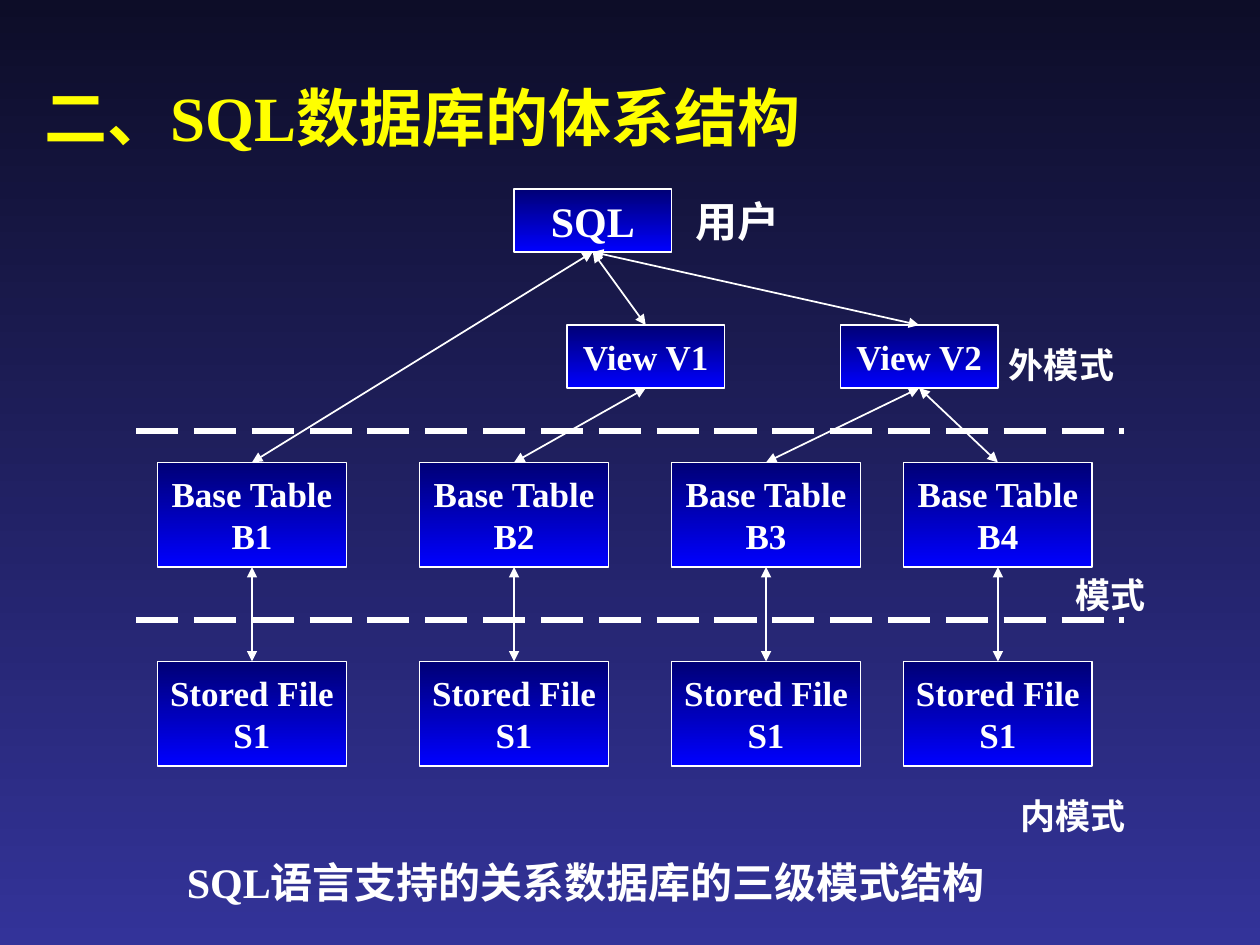
from dataclasses import dataclass

import pptx
import pptx.dml.color
import pptx.enum.dml
import pptx.enum.shapes
import pptx.enum.text
import pptx.oxml
import pptx.oxml.ns
import pptx.util
from pptx.util import Inches

FONT_NAME = "Times New Roman"
WHITE = "FFFFFF"
BOTTOM, TOP = 2, 0
COLUMN_LEFTS = (1.25, 3.33, 5.33, 7.17)


@dataclass
class Box:
    text: str
    left: float
    top: float
    width: float
    height: float
    size: int = 20


def color(value: str) -> pptx.dml.color.RGBColor:
    return pptx.dml.color.RGBColor.from_string(value)


def fill_downward(fill, start: str, end: str) -> None:
    fill.gradient()
    fill.gradient_angle = 270
    for stop, value, position in zip(fill.gradient_stops, (start, end), (0, 1)):
        stop.color.rgb = color(value)
        stop.position = position


def write_text(shape, text: str, size: int, text_color: str = WHITE,
               alignment=pptx.enum.text.PP_ALIGN.CENTER) -> None:
    frame = shape.text_frame
    frame.text = text
    frame.vertical_anchor = pptx.enum.text.MSO_ANCHOR.MIDDLE
    for paragraph in frame.paragraphs:
        paragraph.alignment = alignment
        paragraph.font.name = FONT_NAME
        paragraph.font.size = pptx.util.Pt(size)
        paragraph.font.bold = True
        paragraph.font.color.rgb = color(text_color)


def place(box: Box) -> tuple:
    return Inches(box.left), Inches(box.top), Inches(box.width), Inches(box.height)


def add_box(slide, box: Box):
    shape = slide.shapes.add_shape(pptx.enum.shapes.MSO_SHAPE.RECTANGLE, *place(box))
    shape.shadow.inherit = False
    fill_downward(shape.fill, "000075", "0000FF")
    shape.line.color.rgb = color(WHITE)
    shape.line.width = pptx.util.Pt(1)
    write_text(shape, box.text, box.size)
    shape.text_frame.word_wrap = False
    return shape


def add_label(slide, label: Box) -> None:
    shape = slide.shapes.add_textbox(*place(label))
    write_text(shape, label.text, label.size)
    shape.text_frame.word_wrap = False
    shape.text_frame.auto_size = pptx.enum.text.MSO_AUTO_SIZE.SHAPE_TO_FIT_TEXT


def add_line(slide, left: float, top: float, right: float, bottom: float, width: float):
    line = slide.shapes.add_connector(
        pptx.enum.shapes.MSO_CONNECTOR.STRAIGHT,
        Inches(left), Inches(top), Inches(right), Inches(bottom))
    line.line.color.rgb = color(WHITE)
    line.line.width = pptx.util.Pt(width)
    line._element.spPr.append(
        pptx.oxml.parse_xml(f'<a:effectLst {pptx.oxml.ns.nsdecls("a")}/>'))
    return line


def add_boundary(slide, top: float) -> None:
    boundary = add_line(slide, 1.08, top, 8.92, top, 3)
    boundary.line.dash_style = pptx.enum.dml.MSO_LINE.LONG_DASH


def add_link(slide, upper, lower) -> None:
    link = add_line(slide, 0, 0, 1, 1, 1)
    link.begin_connect(upper, BOTTOM)
    link.end_connect(lower, TOP)
    for end in ("headEnd", "tailEnd"):
        link.line._get_or_add_ln().append(pptx.oxml.parse_xml(
            f'<a:{end} {pptx.oxml.ns.nsdecls("a")} type="triangle"/>'))


def main() -> None:
    presentation = pptx.Presentation()
    presentation.slide_width = Inches(10)
    presentation.slide_height = Inches(7.5)
    slide = presentation.slides.add_slide(presentation.slide_layouts[5])
    fill_downward(slide.background.fill, "0D0D28", "333399")

    title = slide.shapes.title
    title.left, title.top, title.width, title.height = place(Box("", 0.25, 0.42, 8.5, 1))
    write_text(title, "二、SQL数据库的体系结构", 36, "FFFF00", pptx.enum.text.PP_ALIGN.LEFT)

    user = add_box(slide, Box("SQL", 4.08, 1.5, 1.25, 0.5, 24))
    views = [add_box(slide, Box(f"View V{number}", left, 2.58, 1.25, 0.5))
             for number, left in enumerate((4.5, 6.67), 1)]
    tables = [add_box(slide, Box(f"Base Table\nB{number}", left, 3.67, 1.5, 0.83))
              for number, left in enumerate(COLUMN_LEFTS, 1)]
    files = [add_box(slide, Box("Stored File\nS1", left, 5.25, 1.5, 0.83))
             for left in COLUMN_LEFTS]

    for top in (3.42, 4.92):
        add_boundary(slide, top)

    links = [(user, views[0]), (user, views[1]), (user, tables[0]),
             (views[0], tables[1]), (views[1], tables[2]), (views[1], tables[3]),
             *zip(tables, files)]
    for upper, lower in links:
        add_link(slide, upper, lower)

    labels = [
        Box("用户", 5.4, 1.5, 0.9, 0.5, 24),
        Box("外模式", 7.89, 2.67, 1.07, 0.44),
        Box("模式", 8.42, 4.5, 0.79, 0.44),
        Box("内模式", 7.98, 6.25, 1.07, 0.44),
        Box("SQL语言支持的关系数据库的三级模式结构", 1.3, 6.75, 6.7, 0.5, 24),
    ]
    for label in labels:
        add_label(slide, label)

    presentation.save("out.pptx")


if __name__ == "__main__":
    main()
